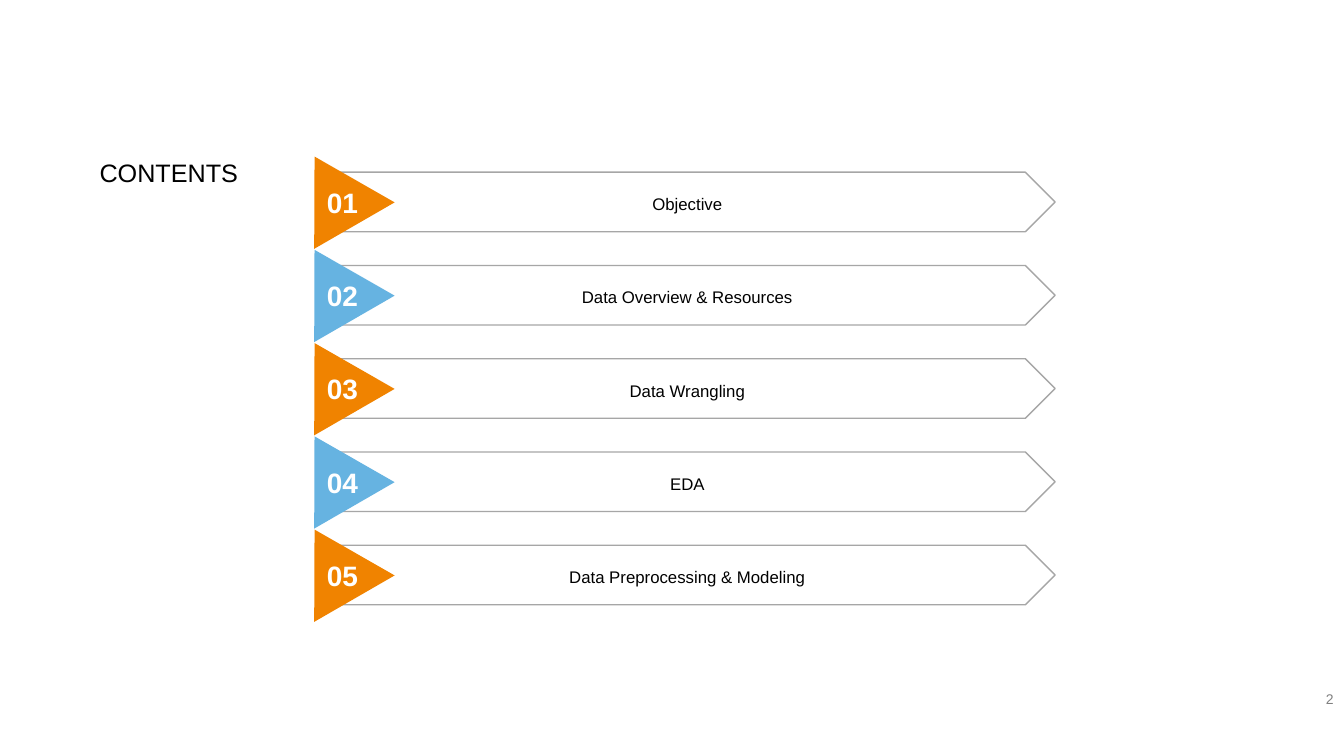
"""Build the contents slide with five numbered arrow rows."""
from dataclasses import dataclass

from pptx import Presentation
from pptx.dml.color import RGBColor
from pptx.enum.shapes import MSO_SHAPE
from pptx.enum.text import MSO_ANCHOR, PP_ALIGN
from pptx.shapes.shapetree import GroupShapes, SlideShapes
from pptx.text.text import TextFrame
from pptx.util import Cm, Pt

PENTAGON, TRIANGLE = MSO_SHAPE.PENTAGON, MSO_SHAPE.ISOSCELES_TRIANGLE
TOP, MIDDLE = MSO_ANCHOR.TOP, MSO_ANCHOR.MIDDLE
LEFT, CENTER, RIGHT = PP_ALIGN.LEFT, PP_ALIGN.CENTER, PP_ALIGN.RIGHT


@dataclass(frozen=True)
class Theme:
    font: str = "Arial"
    black: str = "000000"
    white: str = "FFFFFF"
    grey: str = "808080"
    outline: str = "A6A6A6"
    orange: str = "F08300"
    blue: str = "66B3E1"
    title_size: int = 18
    number_size: int = 20
    label_size: int = 12
    page_size: int = 10


@dataclass(frozen=True)
class Box:
    left: float
    top: float
    width: float
    height: float

    def lengths(self, down: float = 0) -> tuple[Cm, Cm, Cm, Cm]:
        return Cm(self.left), Cm(self.top + down), Cm(self.width), Cm(self.height)


@dataclass(frozen=True)
class Row:
    number: str
    label: str
    color: str


THEME = Theme()
TITLE = Box(2.26, 3.84, 5.69, 1.02)
PAGE = Box(25.78, 17.32, 8.08, 0.58)
PLATE = Box(8.43, 4.34, 18.16, 1.5)
MARKER = Box(7.26, 3.81, 2.34, 2.01)
NUMBER = Box(7.98, 4.5, 1.3, 1.19)
PITCH = 2.35
ROWS = [
    Row("01", "Objective", THEME.orange),
    Row("02", "Data Overview & Resources", THEME.blue),
    Row("03", "Data Wrangling", THEME.orange),
    Row("04", "EDA", THEME.blue),
    Row("05", "Data Preprocessing & Modeling", THEME.orange),
]


def write(tf: TextFrame, text: str, size: int, color: str, align: PP_ALIGN,
          anchor: MSO_ANCHOR = MIDDLE, bold: bool = False) -> None:
    tf.word_wrap = True
    tf.vertical_anchor = anchor
    p = tf.paragraphs[0]
    p.text = text
    p.alignment = align
    p.font.name = THEME.font
    p.font.size = Pt(size)
    p.font.bold = bold
    p.font.color.rgb = RGBColor.from_string(color)


def draw_row(shapes: SlideShapes, row: Row, down: float) -> None:
    group = shapes.add_group_shape().shapes
    draw_plate(group, row.label, down)
    draw_marker(group, row.color, down)
    tf = group.add_textbox(*NUMBER.lengths(down)).text_frame
    write(tf, row.number, THEME.number_size, THEME.white, CENTER, bold=True)


def draw_plate(shapes: GroupShapes, label: str, down: float) -> None:
    sp = shapes.add_shape(PENTAGON, *PLATE.lengths(down))
    sp.shadow.inherit = False
    sp.fill.background()
    sp.line.color.rgb = RGBColor.from_string(THEME.outline)
    sp.line.width = Pt(1)
    write(sp.text_frame, label, THEME.label_size, THEME.black, CENTER)
    sp.text_frame.paragraphs[0].line_spacing = 1.2


def draw_marker(shapes: GroupShapes, color: str, down: float) -> None:
    sp = shapes.add_shape(TRIANGLE, *MARKER.lengths(down))
    sp.shadow.inherit = False
    sp.rotation = 330
    sp.fill.solid()
    sp.fill.fore_color.rgb = RGBColor.from_string(color)
    sp.line.fill.background()


def main() -> None:
    prs = Presentation()
    prs.slide_width, prs.slide_height = Cm(33.87), Cm(19.05)
    s = prs.slides.add_slide(prs.slide_layouts[6])
    page = s.shapes.add_textbox(*PAGE.lengths())
    write(page.text_frame, "2", THEME.page_size, THEME.grey, RIGHT)
    for i, row in enumerate(ROWS):
        draw_row(s.shapes, row, i * PITCH)
    title = s.shapes.add_textbox(*TITLE.lengths())
    write(title.text_frame, "CONTENTS", THEME.title_size, THEME.black, LEFT, TOP)
    prs.save("out.pptx")


if __name__ == "__main__":
    main()
